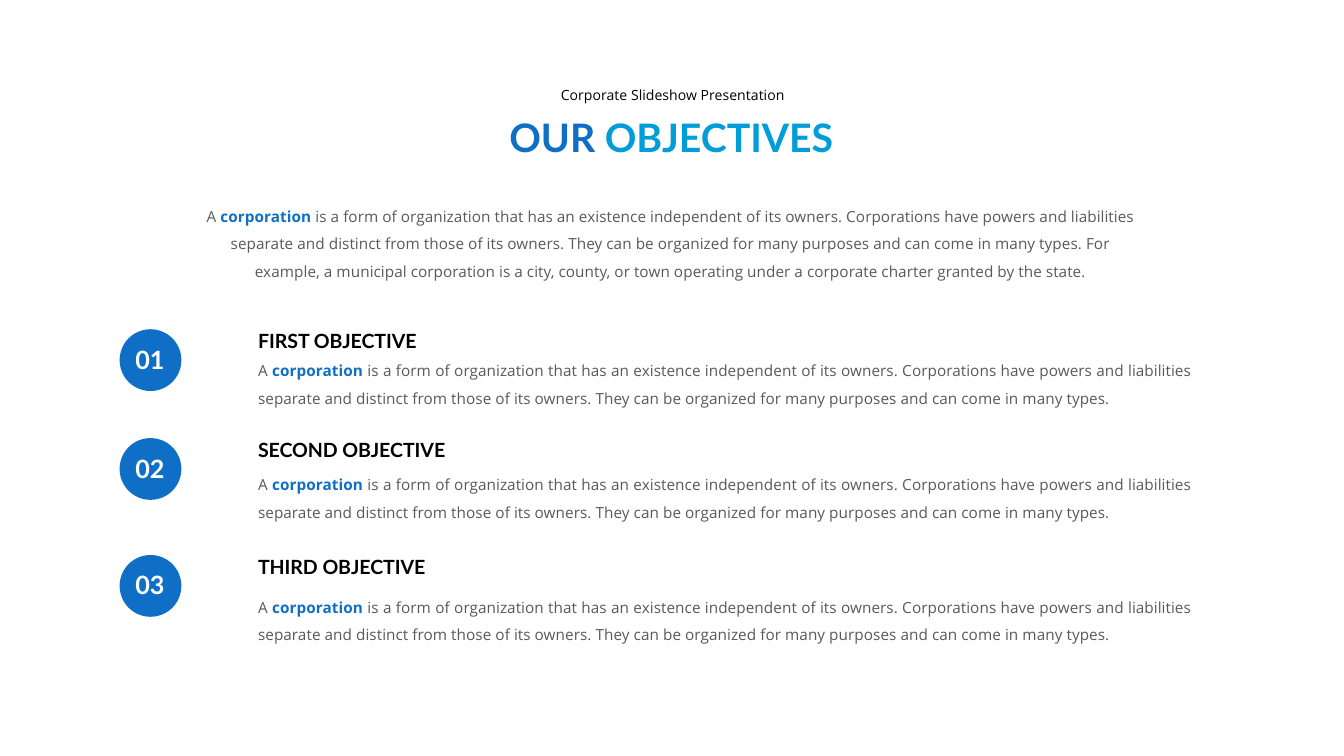
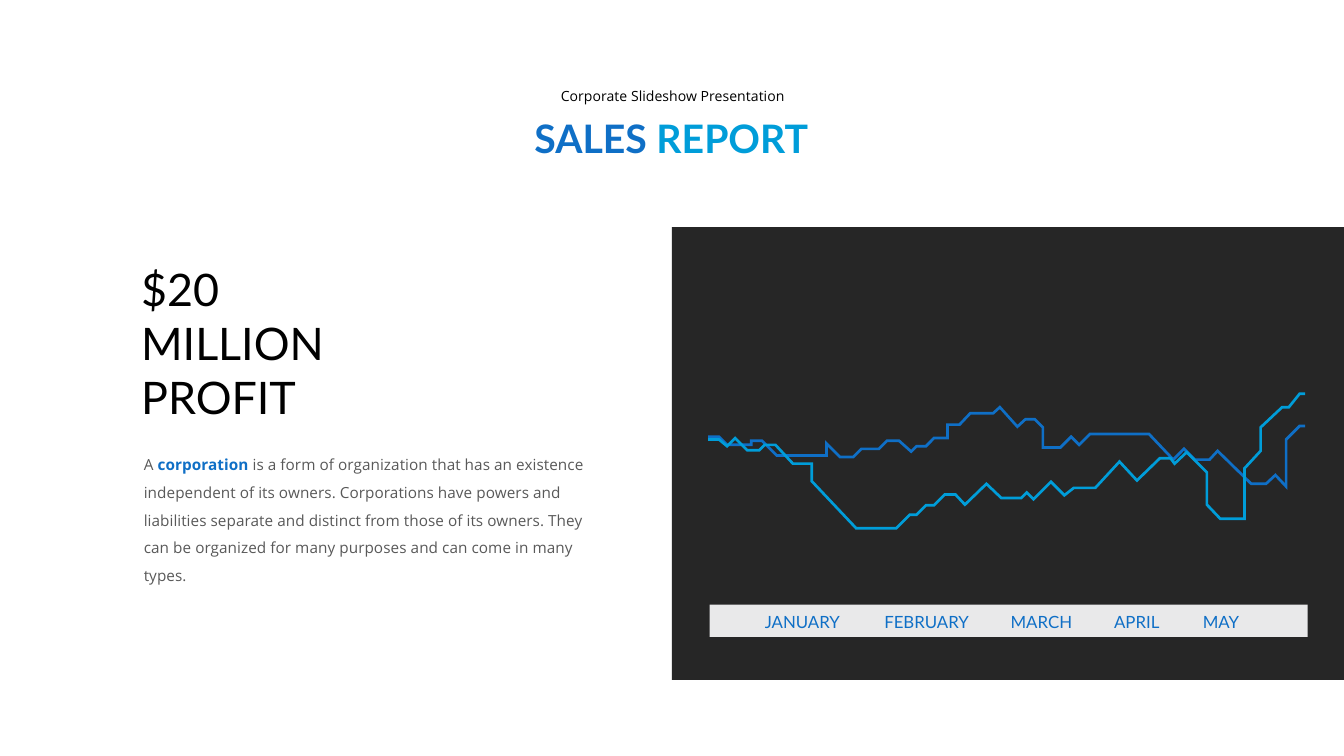
from dataclasses import dataclass
from itertools import pairwise
from math import hypot

from pptx import Presentation
from pptx import util as u
from pptx.dml.color import RGBColor
from pptx.enum import shapes, text

# The slide is a grid of square cells, 100 columns wide.
COLUMNS, ROWS = 100, 56.25
CELL = u.Inches(0.1)

BLUE = RGBColor(0x0F, 0x6F, 0xC6)
CYAN = RGBColor(0x00, 0x9D, 0xD9)
BLACK = RGBColor(0, 0, 0)
WHITE = RGBColor(0xFF, 0xFF, 0xFF)
GREY = RGBColor(0x59, 0x59, 0x59)
CHARCOAL = RGBColor(0x26, 0x26, 0x26)
PALE = RGBColor(0xE9, 0xE9, 0xEA)

HEADING_FONT, BODY_FONT = "Lato", "Open Sans"
CENTER, JUSTIFY = text.PP_ALIGN.CENTER, text.PP_ALIGN.JUSTIFY
RECTANGLE, OVAL = shapes.MSO_SHAPE.RECTANGLE, shapes.MSO_SHAPE.OVAL
INSETS = (0.7, 0.4)

DEFINITION = (
    " is a form of organization that has an existence independent of its owners. "
    "Corporations have powers and liabilities separate and distinct from those of "
    "its owners. They can be organized for many purposes and can come in many types."
)
EXAMPLE = (
    " For example, a municipal corporation is a city, county, or town operating "
    "under a corporate charter granted by the state."
)

# Heading and the row of its disc, within the list
OBJECTIVES = [("FIRST OBJECTIVE", 0.5), ("SECOND OBJECTIVE", 8.6),
              ("THIRD OBJECTIVE", 17.3)]

# Month, column and width within the axis band
MONTHS = [("JANUARY", 4.1, 5.9), ("FEBRUARY", 13, 6.6), ("MARCH", 22.4, 4.7),
          ("APRIL", 30.1, 3.6), ("MAY", 36.7, 2.8)]

# Turning points (column, row) of each sales trend within the plot
RIBBON_WIDTH = 0.2
BLUE_TREND = [
    (2.7, 2.5), (3.5, 2.5), (4.1, 3.1), (5.9, 3.1), (5.9, 2.8), (6.7, 2.8),
    (7.8, 3.9), (11.5, 3.9), (11.5, 3), (12.5, 4), (13.5, 4), (14.1, 3.4),
    (15.4, 3.4), (16, 2.8), (16.9, 2.8), (17.8, 3.6), (18.2, 3.2), (18.9, 3.2),
    (19.5, 2.6), (20.5, 2.6), (20.5, 1.6), (21.4, 1.6), (22.2, 0.75),
    (23.9, 0.75), (24.4, 0.3), (25.7, 1.75), (26.3, 1.2), (27, 1.2), (27.6, 1.8),
    (27.6, 3.3), (28.9, 3.3), (29.7, 2.5), (30.3, 3.1), (31.1, 2.3), (35.5, 2.3),
    (37.3, 4.2), (38.1, 3.4), (38.9, 4.2), (40, 4.2), (40.6, 3.55), (43.1, 6),
    (44.2, 6), (44.9, 5.35), (45.7, 6.2), (45.7, 2.7), (46.7, 1.7), (47.1, 1.7),
]
CYAN_TREND = [
    (2.7, 2.7), (3.5, 2.7), (4.1, 3.2), (4.7, 2.6), (5.6, 3.5), (6.5, 3.5),
    (6.9, 3.1), (7.7, 3.1), (9, 4.5), (10.4, 4.5), (10.4, 5.8), (13.7, 9.3),
    (16.7, 9.3), (17.7, 8.3), (18.2, 8.3), (18.9, 7.6), (19.5, 7.6), (20.3, 6.8),
    (21.1, 6.8), (21.8, 7.55), (23.4, 6), (24.5, 7.05), (26, 7.05), (26.4, 6.65),
    (26.9, 7.15), (28.2, 5.85), (29.2, 6.85), (29.9, 6.3), (31.5, 6.3),
    (33.3, 4.35), (34.6, 5.75), (36.3, 4.1), (37.1, 4.1), (37.4, 4.5),
    (38.3, 3.65), (39.8, 5.15), (39.8, 7.55), (40.8, 8.6), (42.6, 8.6),
    (42.6, 4.85), (43.8, 3.55), (43.8, 1.8), (45.4, 0.3), (45.9, 0.3),
    (46.7, -0.7), (47.1, -0.7),
]


@dataclass
class Box:
    """An area of the slide, in grid cells."""
    left: float
    top: float
    width: float
    height: float

    def inner(self, left, top, width, height):
        """Return a box placed from this box's top left corner."""
        return Box(self.left + left, self.top + top, width, height)

    def emu(self):
        return [round(cells * CELL)
                for cells in (self.left, self.top, self.width, self.height)]


def paint(shape, color):
    shape.shadow.inherit = False
    shape.fill.solid()
    shape.fill.fore_color.rgb = color
    shape.line.fill.background()


def add_figure(page, kind, box, color):
    paint(page.shapes.add_shape(kind, *box.emu()), color)


def add_text(page, box, *spans, size, font=BODY_FONT, color=BLACK, bold=False,
             align=None, spacing=None, insets=INSETS, wrap=True):
    """Write one paragraph; a span is a string or (string, color, bold)."""
    frame = page.shapes.add_textbox(*box.emu()).text_frame
    frame.word_wrap = wrap
    frame.margin_left = frame.margin_right = round(insets[0] * CELL)
    frame.margin_top = frame.margin_bottom = round(insets[1] * CELL)
    para = frame.paragraphs[0]
    para.alignment = align
    para.line_spacing = spacing
    for span in spans:
        words, span_color, span_bold = (
            (span, color, bold) if isinstance(span, str) else span)
        run = para.add_run()
        run.text = words
        run.font.name = font
        run.font.size = u.Pt(size)
        run.font.bold = span_bold
        run.font.color.rgb = span_color


def add_definition(page, box, align=None, ending=""):
    add_text(page, box, "A ", ("corporation", BLUE, True), DEFINITION + ending,
             size=8.25, color=GREY, align=align, spacing=1.5)


def add_header(page, box, first, second):
    add_text(page, box.inner(0, 0, 36.5, 2), "Corporate Slideshow Presentation",
             size=7.5, align=CENTER)
    add_text(page, box.inner(1.5, 2, 33.3, 4.3), first + " ", (second, CYAN, True),
             size=21, font=HEADING_FONT, color=BLUE, bold=True, align=CENTER)


def add_objectives(page, box):
    for index, (heading, row) in enumerate(OBJECTIVES):
        add_figure(page, OVAL, box.inner(0.7, row, 4.6, 4.6), BLUE)
        add_text(page, box.inner(0, row + 0.7, 5.9, 3), f"{index + 1:02}", size=13.5,
                 font=HEADING_FONT, color=WHITE, bold=True, align=CENTER)
        add_text(page, box.inner(10.3, row - 0.4, 17.2, 2.5), heading, size=10.5,
                 font=HEADING_FONT, bold=True)
        add_definition(page, box.inner(10.3, row + 1.3 + 0.4 * index, 71, 4.9), JUSTIFY)


def unit_normal(start, end):
    across, down = end[0] - start[0], end[1] - start[1]
    length = hypot(across, down)
    return -down / length, across / length


def ribbon_edge(points, offset):
    """Shift a path sideways by offset, with mitred corners."""
    normals = [unit_normal(start, end) for start, end in pairwise(points)]
    corners = zip(points, normals[:1] + normals, normals + normals[-1:])
    edge = []
    for (x, y), (ax, ay), (bx, by) in corners:
        reach = offset / (1 + ax * bx + ay * by)
        edge.append((x + reach * (ax + bx), y + reach * (ay + by)))
    return edge


def add_trend(page, box, points, color):
    """Draw a path as a filled ribbon: one edge out, the other edge back."""
    half = RIBBON_WIDTH / 2
    outline = ribbon_edge(points, half) + ribbon_edge(points, -half)[::-1]
    start, *others = [(x * CELL, y * CELL) for x, y in outline]
    builder = page.shapes.build_freeform(*start)
    builder.add_line_segments(others, close=True)
    left, top, _, _ = box.emu()
    paint(builder.convert_to_shape(left, top), color)


def add_sales_panel(page, box):
    add_figure(page, RECTANGLE, box, CHARCOAL)
    plot = box.inner(0, 13.1, box.width, 10)
    add_trend(page, plot, BLUE_TREND, BLUE)
    add_trend(page, plot, CYAN_TREND, CYAN)
    band = box.inner(2.8, 28.1, 44.5, 2.4)
    add_figure(page, RECTANGLE, band, PALE)
    for month, column, width in MONTHS:
        add_text(page, band.inner(column, 0.5, width, 1.5), month, size=9,
                 font=HEADING_FONT, color=BLUE, insets=(0, 0), wrap=False)


def add_profit(page, box):
    add_text(page, box.inner(0, 0, 20.8, 12.9), "$20 MILLION PROFIT", size=24,
             font=HEADING_FONT)
    add_definition(page, box.inner(0.2, 13.7, 34.5, 11.2))


def build_objectives_slide(page):
    add_header(page, Box(31.8, 6, 36.5, 6.3), "OUR", "OBJECTIVES")
    add_definition(page, Box(14.5, 14.3, 70.9, 6.8), CENTER, EXAMPLE)
    add_objectives(page, Box(8.2, 24, 81.3, 24.3))


def build_sales_slide(page):
    add_header(page, Box(31.8, 6.1, 36.5, 6.3), "SALES", "REPORT")
    add_sales_panel(page, Box(COLUMNS / 2, 16.9, COLUMNS / 2, 33.7))
    add_profit(page, Box(9.8, 19.1, 34.7, 24.9))


def main():
    deck = Presentation()
    deck.slide_width, deck.slide_height = round(COLUMNS * CELL), round(ROWS * CELL)
    blank = deck.slide_layouts[6]
    for build in (build_objectives_slide, build_sales_slide):
        build(deck.slides.add_slide(blank))
    deck.save("out.pptx")


if __name__ == "__main__":
    main()
